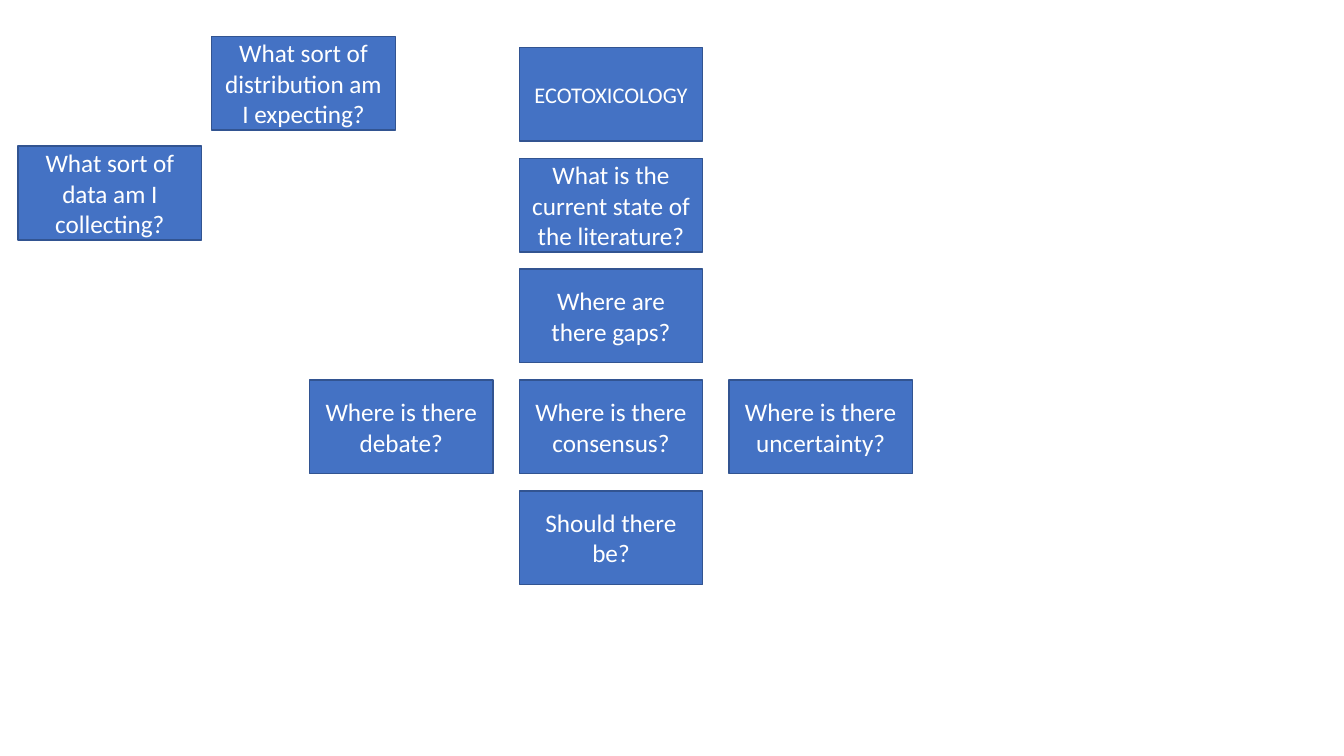
"""Build a slide of question boxes for planning an ecotoxicology study."""
from dataclasses import dataclass

from pptx import Presentation
from pptx.dml.color import RGBColor
from pptx.enum.shapes import MSO_SHAPE
from pptx.enum.text import MSO_ANCHOR, PP_ALIGN
from pptx.util import Pt

RECTANGLE = MSO_SHAPE.RECTANGLE
MIDDLE = MSO_ANCHOR.MIDDLE
CENTER = PP_ALIGN.CENTER

EMU_PER_PX = 9144
SLIDE_WIDTH, SLIDE_HEIGHT = 1333, 750
BLANK_LAYOUT = 6

BOX_WIDTH, BOX_HEIGHT = 182, 93
CENTER_LEFT, COLUMN_PITCH = 515, 208
FIRST_TOP, ROW_PITCH = 47, 110


@dataclass(frozen=True)
class Theme:
    font: str = "Calibri"
    fill: RGBColor = RGBColor(0x44, 0x72, 0xC4)
    outline: RGBColor = RGBColor(0x32, 0x54, 0x91)
    text: RGBColor = RGBColor(0xFF, 0xFF, 0xFF)
    topic_size: int = 16
    question_size: int = 18
    outline_width: int = 1


def px(length):
    return length * EMU_PER_PX


def write_text(text_frame, text, *, font, size, color, align=CENTER, anchor=MIDDLE):
    text_frame.word_wrap = True
    text_frame.vertical_anchor = anchor
    paragraph = text_frame.paragraphs[0]
    paragraph.alignment = align
    run = paragraph.add_run()
    run.text = text
    run.font.name = font
    run.font.size = Pt(size)
    run.font.color.rgb = color


class SlideBuilder:
    def __init__(self, slide, theme):
        self.slide = slide
        self.theme = theme

    def box(self, text, left, top, size=None):
        theme = self.theme
        shape = self.slide.shapes.add_shape(
            RECTANGLE, px(left), px(top), px(BOX_WIDTH), px(BOX_HEIGHT)
        )
        shape.shadow.inherit = False
        shape.fill.solid()
        shape.fill.fore_color.rgb = theme.fill
        shape.line.color.rgb = theme.outline
        shape.line.width = Pt(theme.outline_width)
        write_text(
            shape.text_frame,
            text,
            font=theme.font,
            size=size or theme.question_size,
            color=theme.text,
        )

    def grid_box(self, text, column, row, size=None):
        left = CENTER_LEFT + column * COLUMN_PITCH
        self.box(text, left, FIRST_TOP + row * ROW_PITCH, size)


def main():
    presentation = Presentation()
    presentation.slide_width = px(SLIDE_WIDTH)
    presentation.slide_height = px(SLIDE_HEIGHT)
    slide = presentation.slides.add_slide(presentation.slide_layouts[BLANK_LAYOUT])
    theme = Theme()
    builder = SlideBuilder(slide, theme)

    builder.box("What sort of data am I collecting?", 18, 145)
    builder.box("What sort of distribution am I expecting?", 210, 36)

    builder.grid_box("ECOTOXICOLOGY", 0, 0, theme.topic_size)
    literature_questions = [
        ("What is the current state of the literature?", 0, 1),
        ("Where are there gaps?", 0, 2),
        ("Where is there debate?", -1, 3),
        ("Where is there consensus?", 0, 3),
        ("Where is there uncertainty?", 1, 3),
        ("Should there be?", 0, 4),
    ]
    for question, column, row in literature_questions:
        builder.grid_box(question, column, row)

    presentation.save("out.pptx")


if __name__ == "__main__":
    main()
